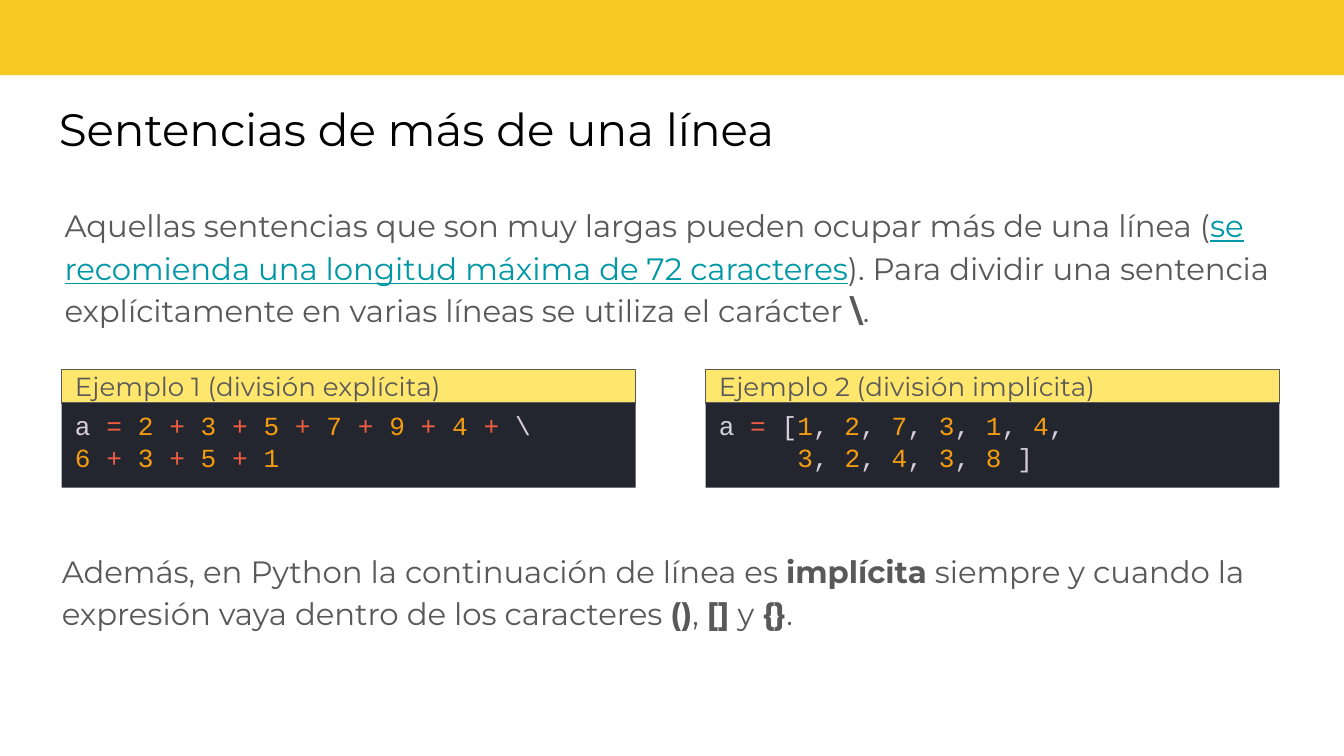
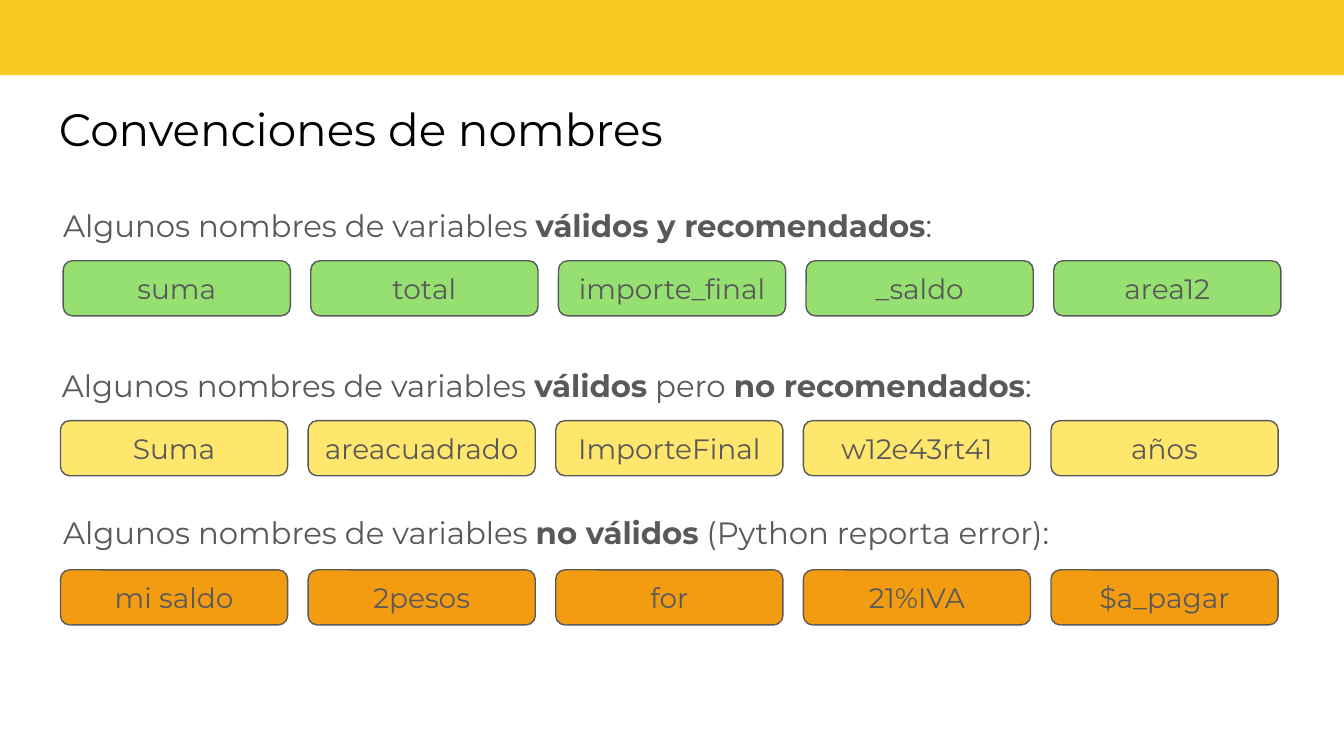
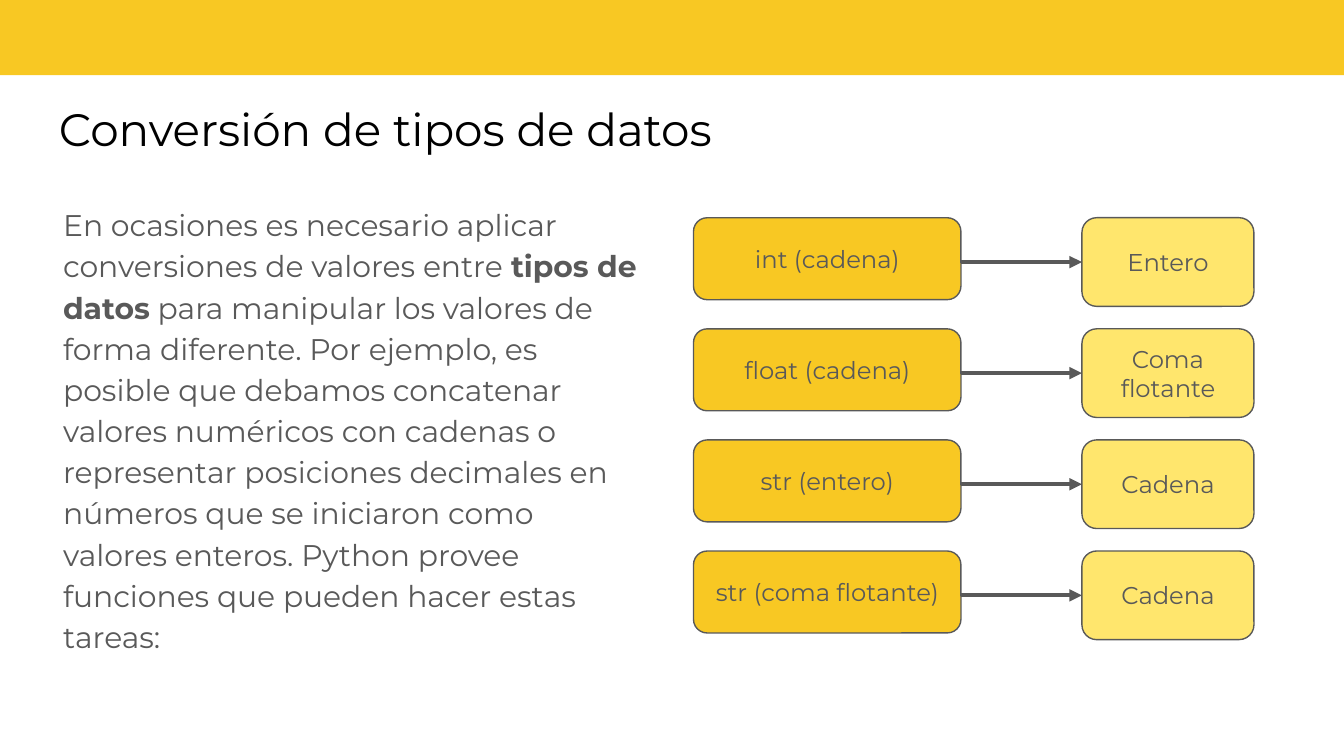
from itertools import groupby

from lxml import etree
from pptx import Presentation
from pptx.dml.color import RGBColor
from pptx.enum.shapes import MSO_CONNECTOR, MSO_SHAPE
from pptx.enum.text import MSO_ANCHOR, PP_ALIGN
from pptx.oxml.ns import qn
from pptx.util import Inches, Pt

RECTANGLE = MSO_SHAPE.RECTANGLE
ROUNDED = MSO_SHAPE.FLOWCHART_ALTERNATE_PROCESS
STRAIGHT = MSO_CONNECTOR.STRAIGHT
TOP, MIDDLE = MSO_ANCHOR.TOP, MSO_ANCHOR.MIDDLE
LEFT, CENTER = PP_ALIGN.LEFT, PP_ALIGN.CENTER

GOLD, YELLOW, GREEN, ORANGE = "F8C823", "FFE66D", "96E072", "F39C12"
GRAY, BLACK, TEAL = "595959", "000000", "0097A7"
CODE_BACKGROUND, CODE_PLAIN, CODE_OPERATOR, CODE_NUMBER = "23262E", "D5CED9", "EE5D43", ORANGE

BODY = {"name": "Montserrat", "size": 16.5, "color": GRAY}
TITLE = BODY | {"size": 24.3, "color": BLACK}
CODE = {"name": "Courier New", "size": 14}
BOLD = {"bold": True}
LINK = {"color": TEAL, "underline": True}

# Slide 1: a paragraph is a list of (text, extra format) runs
LINES_TITLE = "Sentencias de más de una línea"
EXPLICIT_TEXT = [
    ("Aquellas sentencias que son muy largas pueden ocupar más de una línea (", {}),
    ("se recomienda una longitud máxima de 72 caracteres", LINK),
    ("). Para dividir una sentencia explícitamente en varias líneas se utiliza el carácter ", {}),
    ("\\", BOLD),
    (".", {}),
]
IMPLICIT_TEXT = [
    ("Además, en Python la continuación de línea es ", {}),
    ("implícita", BOLD),
    (" siempre y cuando la expresión vaya dentro de los caracteres ", {}),
    ("()", BOLD),
    (", ", {}),
    ("[]", BOLD),
    (" y ", {}),
    ("{}", BOLD),
    (".", {}),
]
EXAMPLES = [
    (0.46, "Ejemplo 1 (división explícita)", ["a = 2 + 3 + 5 + 7 + 9 + 4 + \\", "6 + 3 + 5 + 1"]),
    (5.25, "Ejemplo 2 (división implícita)", ["a = [1, 2, 7, 3, 1, 4,", "     3, 2, 4, 3, 8 ]"]),
]

# Slide 2: heading place and runs, then chip place, colour and names
NAMES_TITLE = "Convenciones de nombres"
NAME_GROUPS = [
    ((0.47, 1.4, 9.05, 0.54),
     [("Algunos nombres de variables ", {}), ("válidos y recomendados", BOLD), (":", {})],
     (0.47, 1.94), GREEN, ["suma", "total", "importe_final", "_saldo", "area12"]),
    ((0.46, 2.59, 9.05, 0.54),
     [("Algunos nombres de variables ", {}), ("válidos", BOLD), (" pero ", {}),
      ("no recomendados", BOLD), (":", {})],
     (0.45, 3.13), YELLOW, ["Suma", "areacuadrado", "ImporteFinal", "w12e43rt41", "años"]),
    ((0.47, 3.68, 9.05, 0.49),
     [("Algunos nombres de variables ", {}), ("no válidos", BOLD), (" (Python reporta error):", {})],
     (0.45, 4.24), ORANGE, ["mi saldo", "2pesos", "for", "21%IVA", "$a_pagar"]),
]

# Slide 3
CONVERSION_TITLE = "Conversión de tipos de datos"
CONVERSION_TEXT = [
    ("En ocasiones es necesario aplicar conversiones de valores entre ", {}),
    ("tipos de datos", BOLD),
    (" para manipular los valores de forma diferente. Por ejemplo, es posible que debamos "
     "concatenar valores numéricos con cadenas o representar posiciones decimales en números "
     "que se iniciaron como valores enteros. Python provee funciones que pueden hacer estas "
     "tareas:", {}),
]
CONVERSIONS = [
    ("int (cadena)", ["Entero"]),
    ("float (cadena)", ["Coma", "flotante"]),
    ("str (entero)", ["Cadena"]),
    ("str (coma flotante)", ["Cadena"]),
]


def color(value):
    return RGBColor.from_string(value)


def write(shape, paragraphs, base, insets, anchor=TOP, align=LEFT, spacing=None):
    """Fill a shape with paragraphs of (text, extra format) runs."""
    frame = shape.text_frame
    frame.word_wrap = True
    frame.vertical_anchor = anchor
    horizontal, vertical = map(Inches, insets)
    frame.margin_left = frame.margin_right = horizontal
    frame.margin_top = frame.margin_bottom = vertical
    for index, runs in enumerate(paragraphs):
        paragraph = frame.add_paragraph() if index else frame.paragraphs[0]
        paragraph.alignment = align
        paragraph.line_spacing = spacing
        for text, extra in runs:
            run = paragraph.add_run()
            run.text = text
            for key, value in (base | extra).items():
                if key == "color":
                    run.font.color.rgb = color(value)
                else:
                    setattr(run.font, key, Pt(value) if key == "size" else value)


def add_text(slide, box, runs, base=BODY, insets=(0, 0.1), spacing=1.15):
    shape = slide.shapes.add_textbox(*map(Inches, box))
    write(shape, [runs], base, insets, spacing=spacing)


def add_box(slide, kind, box, fill, outline=None):
    shape = slide.shapes.add_shape(kind, *map(Inches, box))
    shape.shadow.inherit = False
    shape.fill.solid()
    shape.fill.fore_color.rgb = color(fill)
    if outline:
        shape.line.color.rgb = color(outline)
        shape.line.width = Pt(0.75)
    else:
        shape.line.fill.background()
    return shape


def add_label(slide, kind, box, fill, lines, size, align=CENTER):
    shape = add_box(slide, kind, box, fill, GRAY)
    write(shape, [[(line, {})] for line in lines], BODY | {"size": size}, (0.1, 0.05), MIDDLE, align)


def add_arrow(slide, start, end, y):
    arrow = slide.shapes.add_connector(STRAIGHT, *map(Inches, (start, y, end, y)))
    arrow.line.color.rgb = color(GRAY)
    arrow.line.width = Pt(2.25)
    properties = arrow._element.spPr
    etree.SubElement(properties.find(qn("a:ln")), qn("a:tailEnd"), type="triangle")
    etree.SubElement(properties, qn("a:effectLst"))


def code_runs(line):
    """Colour numbers and operators; a space keeps the colour before it."""
    colors = []
    for character in line:
        if character.isdigit():
            colors.append(CODE_NUMBER)
        elif character in "=+":
            colors.append(CODE_OPERATOR)
        elif character == " " and colors:
            colors.append(colors[-1])
        else:
            colors.append(CODE_PLAIN)
    groups = groupby(zip(line, colors), key=lambda pair: pair[1])
    return [("".join(character for character, _ in pairs), {"color": shade}) for shade, pairs in groups]


def add_slide(presentation, title):
    slide = presentation.slides.add_slide(presentation.slide_layouts[6])
    add_box(slide, RECTANGLE, (-0.01, -0.05, 10.03, 0.61), GOLD)
    add_text(slide, (0.34, 0.65, 9.3, 0.63), [(title, {})], TITLE, (0.1, 0.1), None)
    return slide


def build_lines_slide(presentation):
    slide = add_slide(presentation, LINES_TITLE)
    add_text(slide, (0.48, 1.4, 9.05, 3.58), EXPLICIT_TEXT)
    top, width, header_height, code_height = 2.75, 4.27, 0.25, 0.63
    for left, header, lines in EXAMPLES:
        add_label(slide, RECTANGLE, (left, top, width, header_height), YELLOW, [header], 14, LEFT)
        code = add_box(slide, RECTANGLE, (left, top + header_height, width, code_height), CODE_BACKGROUND)
        write(code, [code_runs(line) for line in lines], CODE, (0.1, 0.05))
    add_text(slide, (0.46, 3.97, 9.05, 1.01), IMPLICIT_TEXT)


def build_names_slide(presentation):
    slide = add_slide(presentation, NAMES_TITLE)
    row_width, chip_width, chip_height = 9.06, 1.69, 0.41
    for heading_box, heading, (left, top), fill, names in NAME_GROUPS:
        add_text(slide, heading_box, heading)
        step = (row_width - chip_width) / (len(names) - 1)
        for index, name in enumerate(names):
            box = (left + index * step, top, chip_width, chip_height)
            add_label(slide, ROUNDED, box, fill, [name], 15)


def build_conversion_slide(presentation):
    slide = add_slide(presentation, CONVERSION_TITLE)
    add_text(slide, (0.47, 1.4, 4.33, 3.58), CONVERSION_TEXT, BODY | {"size": 16})
    first_top, last_top = 1.62, 4.1
    call_left, call_width, call_height = 5.16, 1.99, 0.61
    result_left, result_width, result_height = 8.05, 1.28, 0.66
    step = (last_top - first_top) / (len(CONVERSIONS) - 1)
    for index, (call, result) in enumerate(CONVERSIONS):
        top = first_top + index * step
        add_label(slide, ROUNDED, (call_left, top, call_width, call_height), GOLD, [call], 13)
        add_label(slide, ROUNDED, (result_left, top, result_width, result_height), YELLOW, result, 13)
        add_arrow(slide, call_left + call_width, result_left, top + result_height / 2)


def main():
    presentation = Presentation()
    presentation.slide_width = Inches(10)
    presentation.slide_height = presentation.slide_width * 9 // 16
    build_lines_slide(presentation)
    build_names_slide(presentation)
    build_conversion_slide(presentation)
    presentation.save("out.pptx")


if __name__ == "__main__":
    main()
